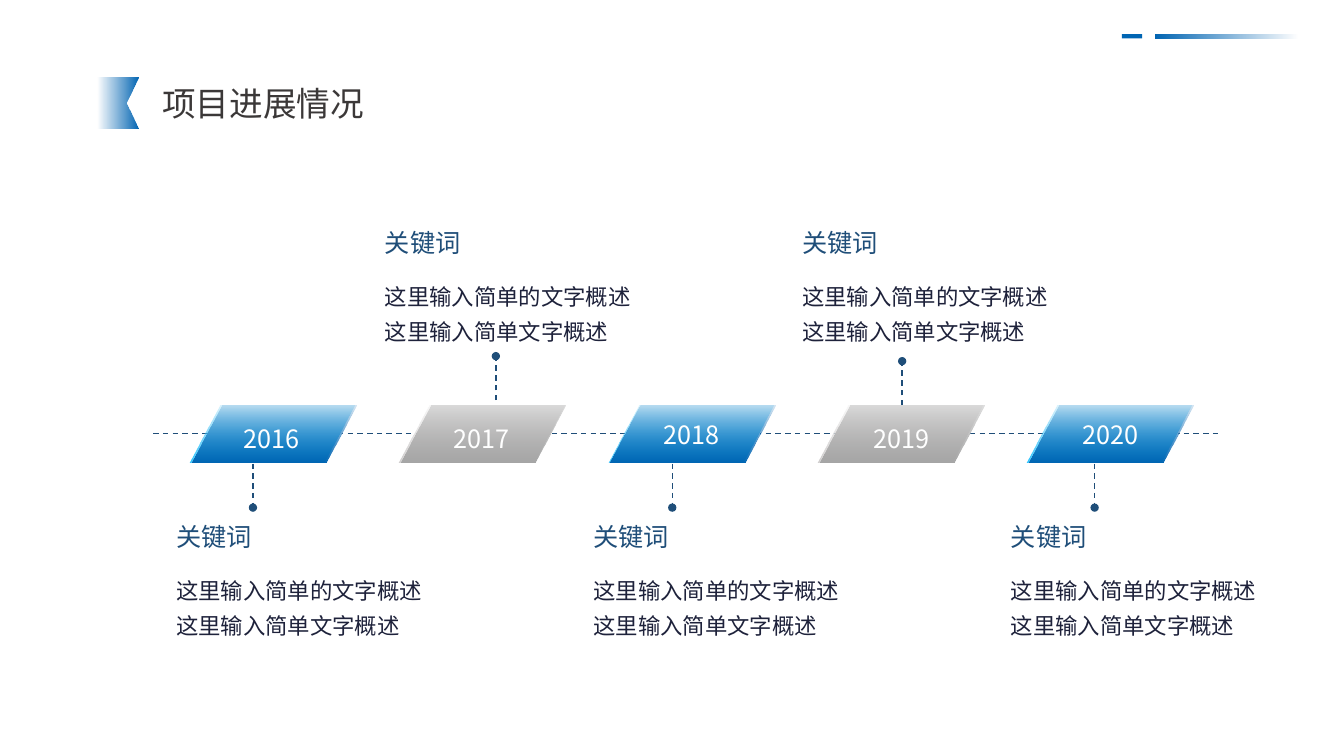
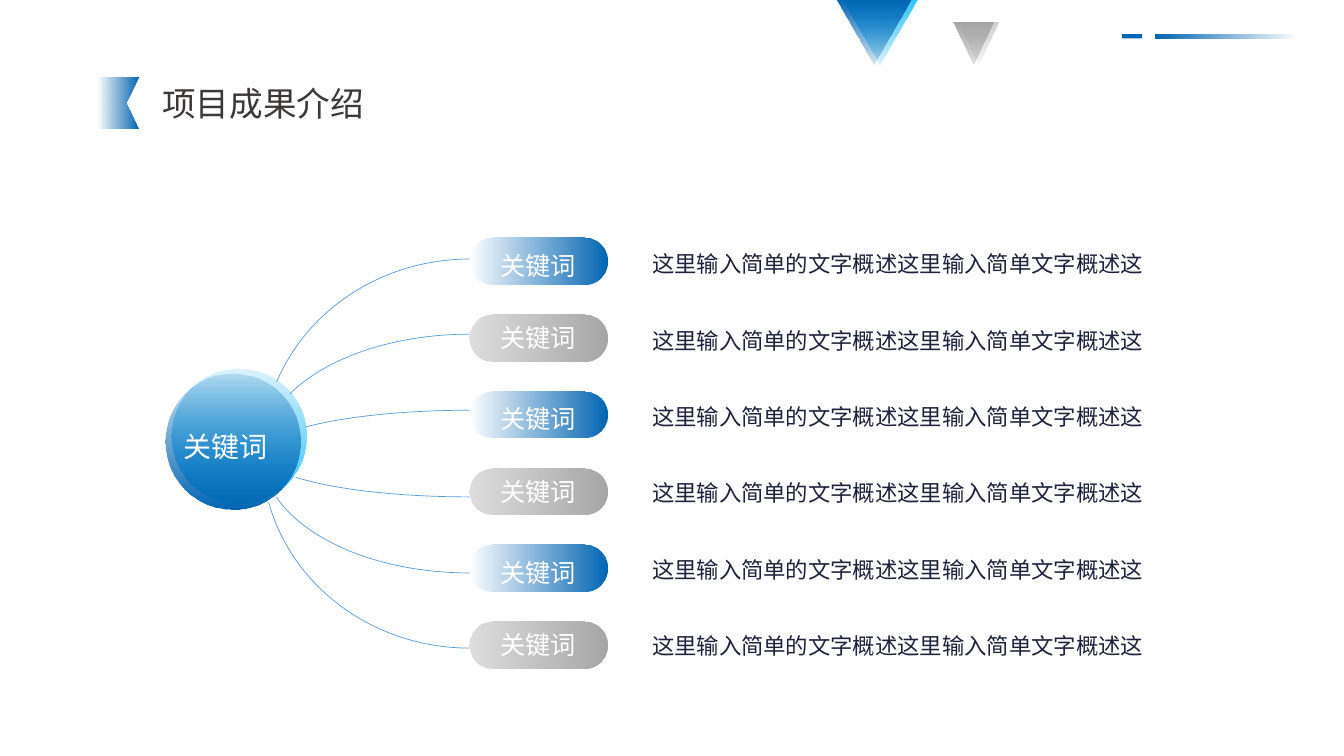
from dataclasses import dataclass

from lxml import etree
from pptx import Presentation
from pptx import util as u
from pptx.dml.color import RGBColor
from pptx.enum import dml, shapes, text
from pptx.oxml.ns import qn

Pt = u.Pt
Kind = shapes.MSO_SHAPE
Align = text.PP_ALIGN

# Colours and fonts
BLUE = RGBColor(0x00, 0x65, 0xB3)
SKY = RGBColor(0x26, 0xB9, 0xF5)
AQUA = RGBColor(0x2B, 0xC5, 0xFF)
GREY = RGBColor(0xA6, 0xA6, 0xA6)
PALE = RGBColor(0xD0, 0xCE, 0xCE)
NAVY = RGBColor(0x1F, 0x4E, 0x79)
INK = RGBColor(0x1E, 0x22, 0x3B)
COAL = RGBColor(0x3B, 0x38, 0x38)
ARC = RGBColor(0x5B, 0x9B, 0xD5)
WHITE = RGBColor(0xFF, 0xFF, 0xFF)
SANS = "Noto Sans CJK SC"
LATIN = "Calibri"

# Shared wording
KEY = "关键词"
BRIEF = "这里输入简单的文字概述这里输入简单文字概述"


@dataclass(frozen=True)
class Fade:
    """Gradient from a see-through colour to a solid one."""
    first: RGBColor
    last: RGBColor
    alpha: int  # percent opacity at the start


@dataclass(frozen=True)
class Box:
    left: float
    top: float
    wide: float
    high: float


@dataclass(frozen=True)
class Year:
    name: str
    fades: tuple[Fade, Fade]
    dip: float    # year label below the tile's middle
    stem: float   # x of the dashed stem
    start: float  # y where the stem leaves the tile
    above: bool


CLEAR = Fade(BLUE, BLUE, 0)
DEEP = Fade(BLUE, BLUE, 16)
GLOW = Fade(SKY, AQUA, 16)
STEEL = Fade(GREY, GREY, 36)
MIST = Fade(PALE, PALE, 14)
COOL, DULL = (GLOW, DEEP), (MIST, STEEL)

# Gradient directions, counted anticlockwise
RIGHT, UP, LEFT, DOWN = 0, 90, 180, 270

YEARS = (
    Year("2016", COOL, 3, 180.7, 331.2, False),
    Year("2017", DULL, 3, 354.2, 285.8, True),
    Year("2018", COOL, 0, 480.2, 331.2, False),
    Year("2019", DULL, 3, 644.4, 289.4, True),
    Year("2020", COOL, 0, 781.9, 331.2, False),
)


def paint(shape, fill: RGBColor | Fade, turn: int = DOWN) -> None:
    """Fill a shape without outline or shadow."""
    shape.shadow.inherit = False
    shape.line.fill.background()
    if isinstance(fill, RGBColor):
        shape.fill.solid()
        shape.fill.fore_color.rgb = fill
        return
    shape.fill.gradient()
    shape.fill.gradient_angle = turn
    for stop, tone in zip(shape.fill.gradient_stops, (fill.first, fill.last)):
        stop.color.rgb = tone
    tint = next(shape.element.iter(qn("a:srgbClr")))
    etree.SubElement(tint, qn("a:alpha")).set("val", str(fill.alpha * 1000))


def form(slide, kind: Kind, box: Box, fill: RGBColor | Fade,
         turn: int = DOWN, bend: float | None = None) -> None:
    shape = slide.shapes.add_shape(
        kind, Pt(box.left), Pt(box.top), Pt(box.wide), Pt(box.high))
    if bend is not None:
        shape.adjustments[0] = bend
    paint(shape, fill, turn)


def style(shape, size: float, tone: RGBColor, align=Align.LEFT,
          lead: float | None = None, gap: float = 0, font: str = SANS) -> None:
    """Format every paragraph of a text shape alike."""
    shape.text_frame.word_wrap = True
    shape.text_frame.auto_size = text.MSO_AUTO_SIZE.NONE
    for para in shape.text_frame.paragraphs:
        para.alignment = align
        para.space_before = Pt(0)
        para.space_after = Pt(gap)
        if lead:
            para.line_spacing = Pt(lead)
        para.font.size = Pt(size)
        para.font.color.rgb = tone
        para.font.name = font
    for face in list(shape.element.iter(qn("a:latin"))):
        east = etree.Element(qn("a:ea"))
        east.set("typeface", SANS)
        face.addnext(east)


def label(slide, words: str, left: float, mid: float, wide: float,
          size: float, tone: RGBColor, align=Align.LEFT, high: float = 36,
          lead: float | None = None, font: str = SANS) -> None:
    """Text box centred vertically on mid."""
    box = slide.shapes.add_textbox(
        Pt(left), Pt(mid - high / 2), Pt(wide), Pt(high))
    box.text_frame.text = words
    box.text_frame.vertical_anchor = text.MSO_ANCHOR.MIDDLE
    style(box, size, tone, align, lead, font=font)


def dash(slide, start: tuple[float, float], end: tuple[float, float],
         dot: bool = False) -> None:
    line = slide.shapes.add_connector(
        shapes.MSO_CONNECTOR.STRAIGHT, *map(Pt, start + end))
    line.line.color.rgb = NAVY
    line.line.width = Pt(1)
    line.line.dash_style = dml.MSO_LINE.DASH
    if dot:
        tail = etree.SubElement(line.line._get_or_add_ln(), qn("a:tailEnd"))
        tail.set("type", "oval")
    etree.SubElement(line.element.spPr, qn("a:effectLst"))


def place(shape, box: Box) -> None:
    shape.left, shape.top = Pt(box.left), Pt(box.top)
    shape.width, shape.height = Pt(box.wide), Pt(box.high)


def begin(deck, layout: int, name: str):
    """New slide with the title, its emblem and the corner bars."""
    slide = deck.slides.add_slide(deck.slide_layouts[layout])
    title = slide.shapes.title
    place(title, Box(108.7, 55.4, 174.2, 36))
    title.text_frame.text = name
    title.text_frame.vertical_anchor = text.MSO_ANCHOR.MIDDLE
    style(title, 24, COAL)

    pen = slide.shapes.build_freeform(Pt(69.5), Pt(55.2))
    pen.add_line_segments([(Pt(x), Pt(y)) for x, y in (
        (98.6, 55.2), (90, 73.6), (98.6, 92), (69.5, 92))])
    paint(pen.convert_to_shape(), CLEAR, RIGHT)

    form(slide, Kind.RECTANGLE, Box(801.4, 24.5, 14.4, 2.9), BLUE)
    form(slide, Kind.RECTANGLE, Box(825.5, 24.8, 101.5, 2.9), CLEAR, LEFT)
    return slide


def progress(deck) -> None:
    slide = begin(deck, 5, "项目进展情况")
    dash(slide, (109.4, 309.6), (872.6, 309.6))
    for i, year in enumerate(YEARS):
        # Tile: white base, offset layer, front layer
        left = 136.8 + 149.4 * i
        for shift, fill in zip((0, -1.3, 0), (WHITE, *year.fades)):
            form(slide, Kind.PARALLELOGRAM,
                 Box(left + shift, 289.4, 118, 41.2), fill, bend=0.53)
        label(slide, year.name, 143.2 + 149.9 * i, 310 + year.dip, 101.6,
              18, WHITE, Align.CENTER)
        # Stem and description
        reach = -31.4 if year.above else 31.4
        dash(slide, (year.stem, year.start),
             (year.stem, year.start + reach), dot=True)
        mid = 173.4 if year.above else 383.4
        edge = 118.8 + 149.04 * i
        label(slide, KEY, edge, mid, 101.6, 18, NAVY)
        label(slide, BRIEF, edge, mid + 48, 196.6, 16, INK,
              high=57.6, lead=25)


def results(deck) -> None:
    slide = begin(deck, 1, "项目成果介绍")

    # Arcs from the hub to the pills
    wide = 148.3
    for high in (277.9, 170.6, 61.9):
        arc = slide.shapes.add_shape(
            Kind.LEFT_BRACKET, Pt(187.2), Pt(324 - high / 2),
            Pt(wide), Pt(high))
        arc.adjustments[0] = high / 2 / min(wide, high)
        arc.shadow.inherit = False
        arc.fill.background()
        arc.line.color.rgb = ARC
        arc.line.width = Pt(0.5)

    # Hub
    for box, fill in ((Box(118.1, 263.5, 100.8, 100.8), WHITE),
                      (Box(122.4, 263.5, 96.5, 96.5), GLOW),
                      (Box(118.1, 267.1, 96.5, 96.5), DEEP)):
        form(slide, Kind.OVAL, box, fill)
    label(slide, KEY, 119.6, 319, 83.5, 20, WHITE, Align.CENTER)

    # Pills
    rows = 6
    for i in range(rows):
        mid = 186.6 + 54.8 * i
        fill, dip, font = ((STEEL, 0, LATIN) if i % 2
                           else (CLEAR, 3, SANS))
        form(slide, Kind.ROUNDED_RECTANGLE, Box(335.2, mid - 16.6, 98.6, 33.2),
             fill, RIGHT, 0.5)
        label(slide, KEY, 348.9, mid + dip, 70.6, 18, WHITE,
              Align.CENTER, font=font)

    # Descriptions
    body = slide.placeholders[1]
    place(body, Box(458.6, 169.3, 383, 54.6 * rows))
    body.text_frame.text = "\n".join([BRIEF + "这"] * rows)
    style(body, 16, INK, lead=25, gap=29.6)
    for props in body.element.iter(qn("a:pPr")):
        props.set("marL", "0")
        props.set("indent", "0")
        mark = etree.Element(qn("a:buNone"))
        props.find(qn("a:defRPr")).addprevious(mark)

    # Hanging triangles
    for box, fill in ((Box(601.9, 0, 53.3, 46.1), GLOW),
                      (Box(597.6, 0, 53.3, 46.1), DEEP),
                      (Box(684.7, 15.8, 28.8, 30.2), MIST),
                      (Box(681.1, 15.8, 28.8, 30.2), STEEL)):
        form(slide, Kind.FLOWCHART_MERGE, box, fill, UP)


def main() -> None:
    deck = Presentation()
    deck.slide_width, deck.slide_height = Pt(960), Pt(540)
    progress(deck)
    results(deck)
    deck.save("out.pptx")


if __name__ == "__main__":
    main()
